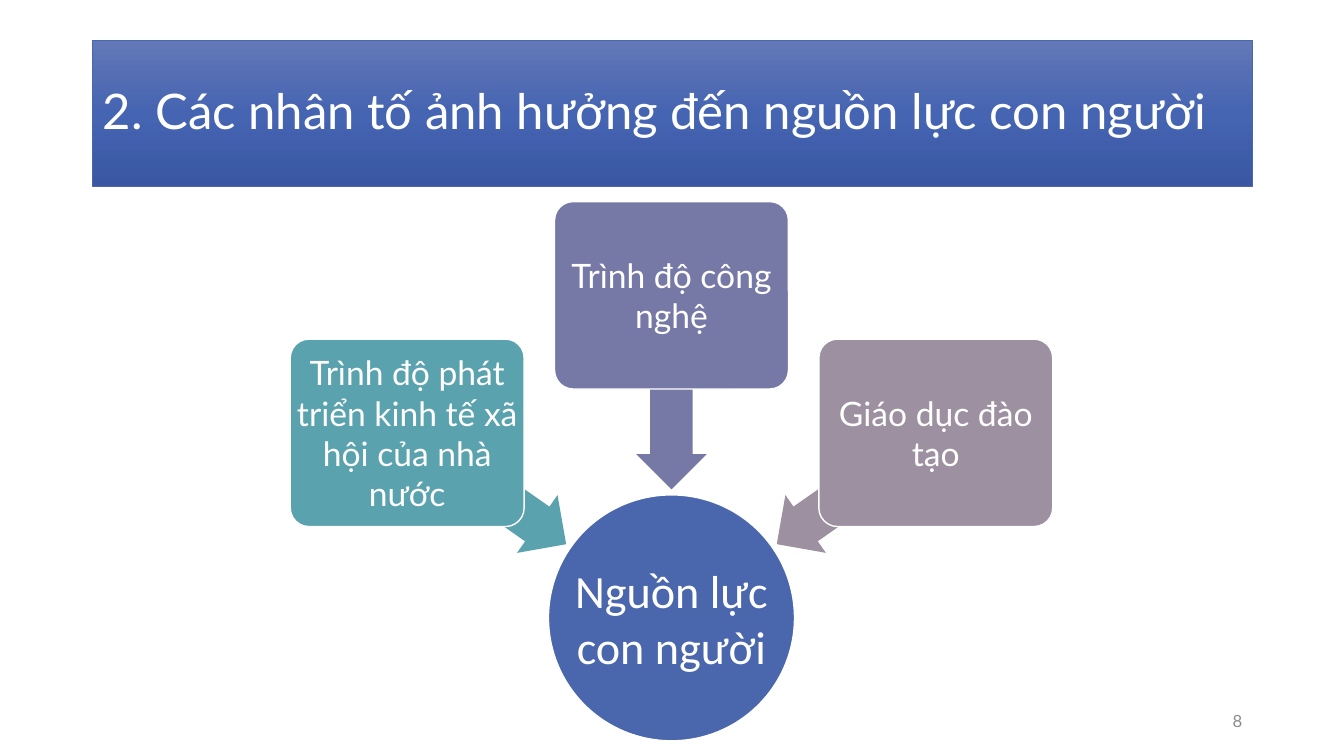
"""Builds the slide on the factors that influence human resources."""
from copy import deepcopy
from math import cos, radians, sin

from pptx import Presentation
from pptx.dml.color import RGBColor
from pptx.enum.shapes import MSO_SHAPE
from pptx.enum.text import MSO_ANCHOR, PP_ALIGN
from pptx.oxml.ns import qn
from pptx.util import Inches, Pt

ROUNDED, ARROW, OVAL = MSO_SHAPE.ROUNDED_RECTANGLE, MSO_SHAPE.LEFT_ARROW, MSO_SHAPE.OVAL
LEFT, CENTER, RIGHT = PP_ALIGN.LEFT, PP_ALIGN.CENTER, PP_ALIGN.RIGHT
MIDDLE = MSO_ANCHOR.MIDDLE

COLORS = {
    "blue": "4A66AC", "teal": "5AA2AE", "violet": "7678A6", "mauve": "9D90A0",
    "white": "FFFFFF", "gray": "8C8C8C",
    "band_top": "6378B7", "band_middle": "4564B1", "band_bottom": "3957A2",
}
TITLE = "2. Các nhân tố ảnh hưởng đến nguồn lực con người"
HUB = "Nguồn lực con người"
FACTORS = [
    ("Trình độ phát triển kinh tế xã hội của nhà nước", "teal", 215),
    ("Trình độ công nghệ", "violet", 270),
    ("Giáo dục đào tạo", "mauve", 325),
]
PAGE_NUMBER = "8"
BAND_STOPS = [(0, "band_top"), (0.5, "band_middle"), (1, "band_bottom")]

HUB_X, HUB_Y, HUB_SIZE = 6.66, 6.13, 2.44
BOX_W, BOX_H, BOX_DISTANCE = 2.32, 1.86, 3.2
ARROW_W, ARROW_H, ARROW_DISTANCE = 1.87, 0.7, 2.21


def rgb(name):
    return RGBColor.from_string(COLORS[name])


def centered(x, y, width, height):
    return [Inches(v) for v in (x - width / 2, y - height / 2, width, height)]


def toward(angle, distance):
    return HUB_X + distance * cos(radians(angle)), HUB_Y + distance * sin(radians(angle))


def write(shape, text, size, color="white", font="Lato", align=CENTER, inset=None):
    frame = shape.text_frame
    frame.text = text
    frame.word_wrap = True
    frame.vertical_anchor = MIDDLE
    if inset is not None:
        frame.margin_left = frame.margin_right = Inches(inset)
        frame.margin_top = frame.margin_bottom = Inches(inset)
    paragraph = frame.paragraphs[0]
    paragraph.alignment = align
    run_font = paragraph.runs[0].font
    run_font.name, run_font.size = font, Pt(size)
    run_font.color.rgb = rgb(color)


def add_filled(slide, kind, place, color, outlined=True):
    shape = slide.shapes.add_shape(kind, *place)
    shape.shadow.inherit = False
    shape.fill.solid()
    shape.fill.fore_color.rgb = rgb(color)
    if outlined:
        shape.line.color.rgb = rgb("white")
        shape.line.width = Pt(1)
    else:
        shape.line.fill.background()
    return shape


def add_title(slide):
    title = slide.shapes.title
    title.left, title.top, title.width, title.height = map(Inches, (0.92, 0.4, 11.5, 1.45))
    title.fill.gradient()
    stop_list = title.element.spPr.find(qn("a:gradFill")).find(qn("a:gsLst"))
    stop_list.insert(1, deepcopy(stop_list[0]))
    for stop, (position, color) in zip(title.fill.gradient_stops, BAND_STOPS):
        stop.position = position
        stop.color.rgb = rgb(color)
    title.fill.gradient_angle = 270
    title.line.color.rgb = rgb("blue")
    title.line.width = Pt(0.5)
    write(title, TITLE, 35, align=LEFT)
    title.text_frame.paragraphs[0].line_spacing = 0.9


def add_hub(slide):
    place = centered(HUB_X, HUB_Y, HUB_SIZE, HUB_SIZE)
    add_filled(slide, OVAL, place, "blue")
    write(slide.shapes.add_textbox(*place), HUB, 33, font="Calibri", inset=0.02)


def add_factor(slide, text, color, angle):
    arrow_place = centered(*toward(angle, ARROW_DISTANCE), ARROW_W, ARROW_H)
    arrow = add_filled(slide, ARROW, arrow_place, color, outlined=False)
    arrow.adjustments[0], arrow.adjustments[1] = 0.6, 0.5
    arrow.rotation = angle
    box_place = centered(*toward(angle, BOX_DISTANCE), BOX_W, BOX_H)
    box = add_filled(slide, ROUNDED, box_place, color)
    box.adjustments[0] = 0.1
    write(box, text, 24, inset=0)


def main():
    deck = Presentation()
    deck.slide_width, deck.slide_height = Inches(13.33), Inches(7.5)
    slide = deck.slides.add_slide(deck.slide_layouts[5])
    add_title(slide)
    add_hub(slide)
    for factor in FACTORS:
        add_factor(slide, *factor)
    page = slide.shapes.add_textbox(*map(Inches, (9.42, 6.95, 3, 0.4)))
    write(page, PAGE_NUMBER, 12, color="gray", align=RIGHT)
    deck.save("out.pptx")


if __name__ == "__main__":
    main()
